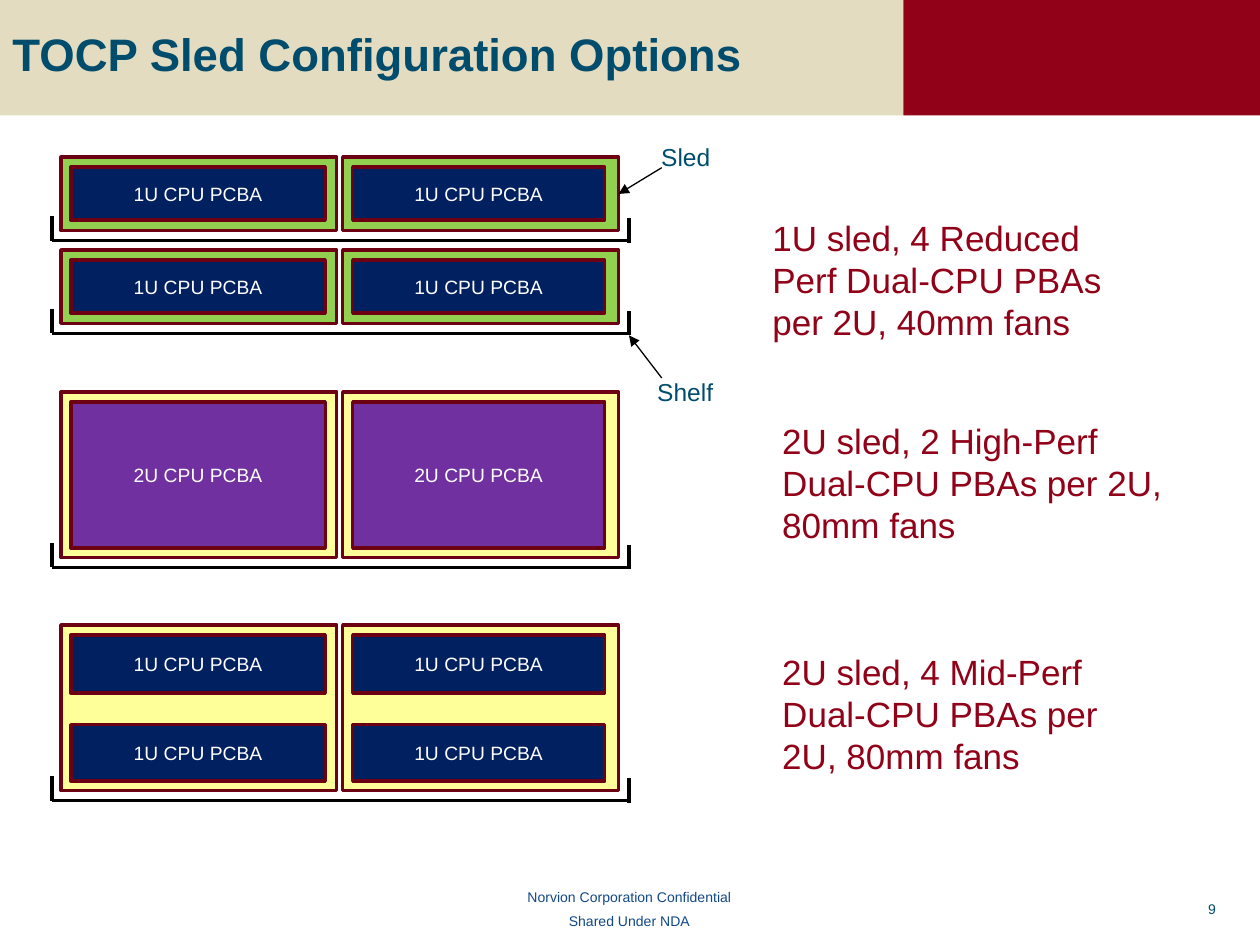
"""Build the sled configuration options slide."""
from dataclasses import dataclass

from lxml.etree import SubElement
from pptx import Presentation
from pptx.dml.color import RGBColor
from pptx.enum.shapes import MSO_CONNECTOR, MSO_SHAPE
from pptx.enum.text import MSO_ANCHOR, PP_ALIGN
from pptx.oxml.ns import qn
from pptx.util import Cm, Pt


@dataclass(frozen=True)
class Theme:
    font: str = "Arial"
    sand: str = "E4DCC0"
    red: str = "910118"
    border: str = "6B0112"
    teal: str = "004C6C"
    blue: str = "124886"
    green: str = "92D050"
    yellow: str = "FFFF99"
    navy: str = "002060"
    purple: str = "7030A0"
    white: str = "FFFFFF"
    black: str = "000000"
    title_size: int = 26
    note_size: int = 20
    label_size: int = 14
    board_size: int = 11
    footer_size: int = 8
    thick: float = 2
    thin: float = 0.75


THEME = Theme()
COLUMNS = ((1.23, 5.13), (6.91, 5.08))
SLED_WIDTH = 5.56
INSET = 0.2
SHELF_LEFT, SHELF_RIGHT = 1.05, 12.68


def write_text(frame, text, *, size, color, bold=False, align=PP_ALIGN.LEFT,
               anchor=MSO_ANCHOR.TOP, line_spacing=None, gap=0):
    frame.word_wrap = True
    frame.vertical_anchor = anchor
    for index, line in enumerate(text.split("\n")):
        para = frame.add_paragraph() if index else frame.paragraphs[0]
        para.alignment = align
        if line_spacing:
            para.line_spacing = line_spacing
        if index:
            para.space_before = Pt(gap)
        span = para.add_run()
        span.text = line
        span.font.name = THEME.font
        span.font.size = Pt(size)
        span.font.bold = bold
        span.font.color.rgb = RGBColor.from_string(color)


class SlideBuilder:
    def __init__(self, page):
        self.page = page

    def rectangle(self, left, top, width, height, fill, border=None):
        box = self.page.shapes.add_shape(
            MSO_SHAPE.RECTANGLE, Cm(left), Cm(top), Cm(width), Cm(height))
        box.shadow.inherit = False
        box.fill.solid()
        box.fill.fore_color.rgb = RGBColor.from_string(fill)
        if border:
            box.line.color.rgb = RGBColor.from_string(border)
            box.line.width = Pt(THEME.thick)
        else:
            box.line.fill.background()
        return box

    def text(self, left, top, width, height, text, **style):
        box = self.page.shapes.add_textbox(Cm(left), Cm(top), Cm(width), Cm(height))
        write_text(box.text_frame, text, **style)

    def line(self, start, end, width, arrow=False):
        connector = self.page.shapes.add_connector(
            MSO_CONNECTOR.STRAIGHT, *(Cm(value) for value in (*start, *end)))
        connector.line.color.rgb = RGBColor.from_string(THEME.black)
        connector.line.width = Pt(width)
        if arrow:
            SubElement(connector.line._get_or_add_ln(), qn("a:tailEnd"), type="triangle")
        SubElement(connector._element.spPr, qn("a:effectLst"))
        return connector

    def shelf(self, level):
        self.line((SHELF_LEFT, level), (SHELF_RIGHT, level), THEME.thick)
        self.line((SHELF_LEFT, level - 0.5), (SHELF_LEFT, level), THEME.thick)
        self.line((SHELF_RIGHT, level - 0.45), (SHELF_RIGHT, level + 0.04), THEME.thick)

    def sled_row(self, top, height, fill, label, board_fill, boards):
        for left, board_width in COLUMNS:
            sled = self.rectangle(left, top, SLED_WIDTH, height, fill, THEME.border)
            for offset, board_height in boards:
                board = self.rectangle(left + INSET, top + offset, board_width,
                                       board_height, board_fill, THEME.border)
                write_text(board.text_frame, label, size=THEME.board_size,
                           color=THEME.white, align=PP_ALIGN.CENTER,
                           anchor=MSO_ANCHOR.MIDDLE)
        self.shelf(top + height + INSET)
        return sled


def main():
    deck = Presentation()
    deck.slide_width, deck.slide_height = Cm(25.4), Cm(19.05)
    builder = SlideBuilder(deck.slides.add_slide(deck.slide_layouts[6]))

    builder.rectangle(0, 0, 18.21, 2.33, THEME.sand)
    builder.rectangle(18.21, 0, 7.19, 2.33, THEME.red)
    builder.text(0, 0, 17.86, 2.26, "TOCP Sled Configuration Options",
                 size=THEME.title_size, color=THEME.teal, bold=True,
                 anchor=MSO_ANCHOR.MIDDLE, line_spacing=0.95)

    single = ("1U CPU PCBA", THEME.navy)
    double = ("2U CPU PCBA", THEME.purple)
    top_sled = builder.sled_row(3.17, 1.48, THEME.green, *single, [(INSET, 1.07)])
    builder.sled_row(5.04, 1.48, THEME.green, *single, [(INSET, 1.07)])
    builder.sled_row(7.9, 3.34, THEME.yellow, *double, [(INSET, 2.95)])
    builder.sled_row(12.6, 3.34, THEME.yellow, *single, [(INSET, 1.17), (2.01, 1.14)])

    for left, top, width, note in (
        (15.32, 4.24, 7.98, "1U sled, 4 Reduced Perf Dual-CPU PBAs per 2U, 40mm fans"),
        (15.52, 8.33, 8.33, "2U sled, 2 High-Perf Dual-CPU PBAs per 2U, 80mm fans"),
        (15.52, 12.98, 7.57, "2U sled, 4 Mid-Perf Dual-CPU PBAs per 2U, 80mm fans"),
    ):
        builder.text(left, top, width, 2.82, note, size=THEME.note_size, color=THEME.red)

    for left, top, label in ((13.08, 2.74, "Sled"), (13, 7.47, "Shelf")):
        builder.text(left, top, 3.61, 0.86, label,
                     size=THEME.label_size, color=THEME.teal)
    sled_arrow = builder.line((13.34, 3.38), (12.47, 3.91), THEME.thin, arrow=True)
    sled_arrow.end_connect(top_sled, 3)
    builder.line((13.34, 7.62), (SHELF_RIGHT, 6.76), THEME.thin, arrow=True)

    builder.text(9.73, 17.78, 5.92, 1.12,
                 "Norvion Corporation Confidential\nShared Under NDA",
                 size=THEME.footer_size, color=THEME.blue,
                 align=PP_ALIGN.CENTER, gap=4.5)
    builder.text(20.75, 18.03, 4.01, 0.61, "9", size=THEME.footer_size,
                 color=THEME.teal, align=PP_ALIGN.RIGHT)

    deck.save("out.pptx")


if __name__ == "__main__":
    main()
